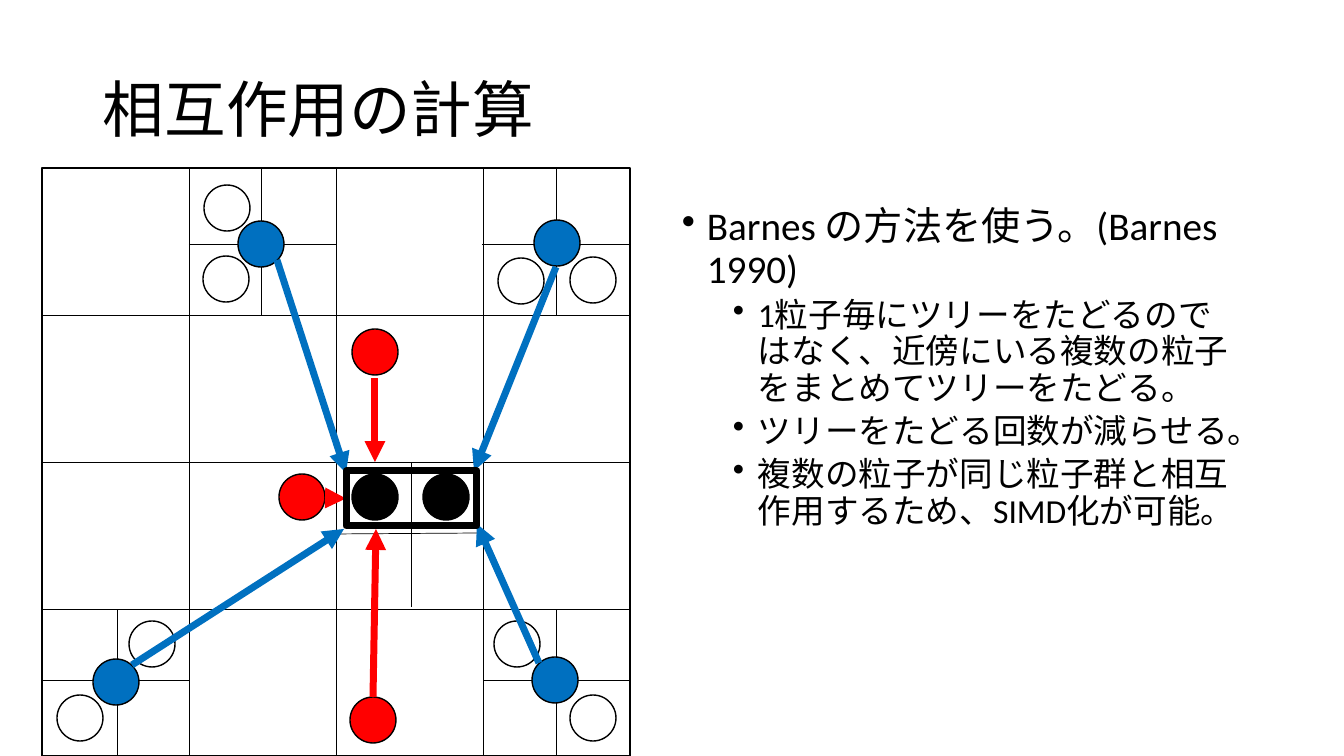
"""Build the slide on computing interactions with a particle tree."""
from lxml import etree
from pptx import Presentation
from pptx.dml.color import RGBColor
from pptx.enum.shapes import MSO_CONNECTOR, MSO_SHAPE
from pptx.enum.text import MSO_ANCHOR
from pptx.oxml.ns import qn
from pptx.util import Pt

PX = 914400 / 100.8
STRAIGHT = MSO_CONNECTOR.STRAIGHT
RECTANGLE, OVAL = MSO_SHAPE.RECTANGLE, MSO_SHAPE.OVAL
MIDDLE = MSO_ANCHOR.MIDDLE
WHITE, BLACK, RED, BLUE = "FFFFFF", "000000", "FF0000", "0070C0"
DIAMETER = 46
LEFT, TOP, SIDE = 42, 168, 588
RIGHT, BOTTOM, CELL = LEFT + SIDE, TOP + SIDE, SIDE // 4

deck = Presentation()
deck.slide_width, deck.slide_height = round(1344 * PX), round(756 * PX)
page = deck.slides.add_slide(deck.slide_layouts[6])


def add_figure(kind, bounds, fill=None, width=1):
    figure = page.shapes.add_shape(kind, *[round(n * PX) for n in bounds])
    figure.shadow.inherit = False
    if fill:
        figure.fill.solid()
        figure.fill.fore_color.rgb = RGBColor.from_string(fill)
    else:
        figure.fill.background()
    figure.line.color.rgb = RGBColor.from_string(BLACK)
    figure.line.width = Pt(width)
    return figure


def add_line(ends, color=BLACK, width=0.5, arrow=False):
    line = page.shapes.add_connector(STRAIGHT, *[round(n * PX) for n in ends])
    line.line.color.rgb = RGBColor.from_string(color)
    line.line.width = Pt(width)
    if arrow:
        etree.SubElement(line.line._get_or_add_ln(), qn("a:tailEnd"), type="triangle")
    etree.SubElement(line._element.spPr, qn("a:effectLst"))
    return line


texts = [
    ((93, 40, 1159, 146), MIDDLE, [("相互作用の計算", 44, None, 0)]),
    ((672, 202, 580, 480), None, [
        ("Barnes の方法を使う。(Barnes 1990)", 28, 25, 0),
        ("1粒子毎にツリーをたどるのではなく、近傍にいる複数の粒子をまとめてツリーをたどる。", 24, 76, 5),
        ("ツリーをたどる回数が減らせる。", 24, 76, 5),
        ("複数の粒子が同じ粒子群と相互作用するため、SIMD化が可能。", 24, 76, 5),
    ]),
]
for bounds, anchor, paragraphs in texts:
    box = page.shapes.add_textbox(*[round(n * PX) for n in bounds])
    frame = box.text_frame
    frame.word_wrap = True
    frame.vertical_anchor = anchor
    for index, (text, size, indent, before) in enumerate(paragraphs):
        para = frame.add_paragraph() if index else frame.paragraphs[0]
        if indent:
            properties = para._p.get_or_add_pPr()
            properties.set("marL", str(round(indent * PX)))
            properties.set("indent", str(round(-25 * PX)))
            etree.SubElement(properties, qn("a:buChar"), char="•")
            para.level = 1 if before else 0
        para.line_spacing = 0.9
        para.space_before = Pt(before)
        span = para.add_run()
        span.text = text
        span.font.name = "Calibri"
        span.font.size = Pt(size)
        span.font.color.rgb = RGBColor.from_string(BLACK)

square = add_figure(RECTANGLE, (LEFT, TOP, SIDE, SIDE), WHITE)
for step in (1, 2, 3):
    x, y = LEFT + step * CELL, TOP + step * CELL
    row = add_line((LEFT, y, RIGHT, y))
    column = add_line((x, BOTTOM, x, TOP))
    if step == 2:
        row.begin_connect(square, 1)
        row.end_connect(square, 3)
        column.begin_connect(square, 2)
        column.end_connect(square, 0)

cell_splits = [
    (189, 244, 336, 244), (482, 244, 630, 244), (42, 680, 189, 680),
    (336, 534, 483, 533), (484, 680, 631, 680), (117, 756, 117, 609),
    (556, 755, 556, 609), (411, 607, 411, 462), (261, 315, 261, 168),
    (556, 315, 556, 168),
]
for split in cell_splits:
    add_line(split)

particles = [
    (WHITE, [(203, 256), (570, 695), (129, 621), (57, 695),
             (498, 258), (570, 257), (494, 621), (204, 185)]),
    (BLACK, [(423, 474), (352, 474)]),
    (RED, [(350, 697), (352, 329), (279, 474)]),
    (BLUE, [(532, 657), (93, 659), (238, 221), (534, 220)]),
]
for color, corners in particles:
    for x, y in corners:
        add_figure(OVAL, (x, y, DIAMETER, DIAMETER), color)

forces = [
    (BLUE, (277, 260, 346, 473)), (BLUE, (556, 267, 474, 471)),
    (BLUE, (132, 665, 344, 529)), (BLUE, (539, 663, 477, 524)),
    (RED, (375, 378, 375, 462)), (RED, (373, 697, 376, 529)),
]
for color, ends in forces:
    add_line(ends, color, 5, arrow=True)
side_force = add_line((325, 498, 346, 498), RED, 5, arrow=True)

group_frame = add_figure(RECTANGLE, (346, 471, 131, 55), width=5)
side_force.end_connect(group_frame, 1)

deck.save("out.pptx")
